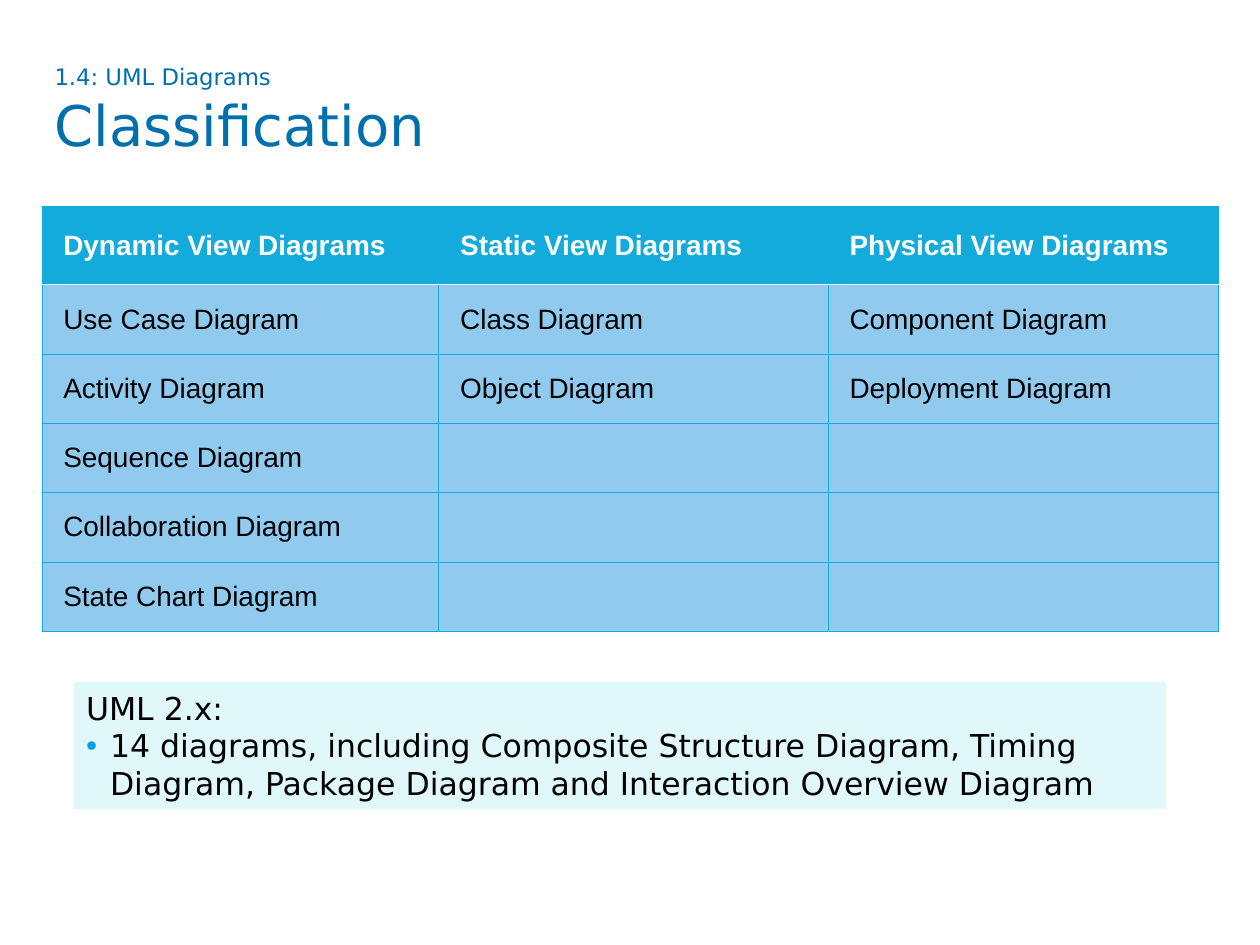
from dataclasses import dataclass

from lxml import etree
from pptx import Presentation
from pptx.dml.color import RGBColor
from pptx.enum.shapes import MSO_SHAPE
from pptx.enum.text import MSO_ANCHOR, MSO_AUTO_SIZE, PP_ALIGN
from pptx.oxml.ns import qn
from pptx.util import Inches, Pt

RECT = MSO_SHAPE.RECTANGLE
TOP, MIDDLE = MSO_ANCHOR.TOP, MSO_ANCHOR.MIDDLE
FIXED, LEFT = MSO_AUTO_SIZE.NONE, PP_ALIGN.LEFT
WIDE, HIGH = Inches(10), Inches(7.5)


@dataclass(frozen=True)
class Theme:
    """Colours, fonts and type sizes of the slide."""
    title: str = "0070AD"
    head: str = "12ABDB"
    body: str = "90CBEF"
    note: str = "E1F8FB"
    dot: str = "00A1E4"
    ink: str = "000000"
    white: str = "FFFFFF"
    sans: str = "DejaVu Sans"
    grid: str = "Arial"
    small: float = 13
    large: float = 32
    cell: float = 16
    text: float = 18


THEME = Theme()
GROUPS = {
    "Dynamic View Diagrams": [
        "Use Case Diagram", "Activity Diagram", "Sequence Diagram",
        "Collaboration Diagram", "State Chart Diagram"],
    "Static View Diagrams": ["Class Diagram", "Object Diagram"],
    "Physical View Diagrams": ["Component Diagram", "Deployment Diagram"],
}
COLS = (3.15, 3.09, 3.1)
HEAD_ROW, BODY_ROW = 0.62, 0.55


def area(left, top, wide, high):
    """Turn percentages of the slide into lengths."""
    pairs = ((left, WIDE), (top, HIGH), (wide, WIDE), (high, HIGH))
    return [int(part * full / 100) for part, full in pairs]


def apply(item, form):
    """Set every attribute named in a dict."""
    for name, value in form.items():
        setattr(item, name, value)


def write(para, text, size, color, font, bold=False):
    """Add one formatted run to a paragraph."""
    run = para.add_run()
    run.text = text
    apply(run.font, {"size": Pt(size), "name": font, "bold": bold})
    run.font.color.rgb = RGBColor.from_string(color)


def paint(fill, color):
    """Fill with one solid colour."""
    fill.solid()
    fill.fore_color.rgb = RGBColor.from_string(color)


def edge(cell, side, color, width):
    """Draw one border of a table cell."""
    line = etree.SubElement(cell._tc.get_or_add_tcPr(), qn(f"a:ln{side}"),
                            w=str(Pt(width)))
    solid = etree.SubElement(line, qn("a:solidFill"))
    etree.SubElement(solid, qn("a:srgbClr"), val=color)


def add_title(slide, lead, name):
    """Place the title with its small lead line."""
    title = slide.shapes.title
    apply(title, dict(zip(("left", "top", "width", "height"),
                          area(3.33, 6, 93.33, 12.53))))
    frame = title.text_frame
    apply(frame, {"vertical_anchor": TOP, "auto_size": FIXED,
                  "word_wrap": True})
    para = frame.paragraphs[0]
    para.alignment = LEFT
    write(para, lead, THEME.small, THEME.title, THEME.sans)
    para.add_line_break()
    etree.SubElement(para._p[-1], qn("a:rPr"), sz=str(int(THEME.small * 100)))
    write(para, name, THEME.large, THEME.title, THEME.sans)


def fill_cell(cell, text, head):
    """Format one cell as a heading or as body."""
    low = (THEME.white, 1) if head else (THEME.head, 0.5)
    for side in "LRT":
        edge(cell, side, THEME.head, 0.5)
    edge(cell, "B", *low)
    paint(cell.fill, THEME.head if head else THEME.body)
    if text:
        apply(cell, {"vertical_anchor": MIDDLE,
                     "margin_left": Inches(0.17), "margin_right": Inches(0.17),
                     "margin_top": Inches(0.15), "margin_bottom": Inches(0.15)})
        write(cell.text_frame.paragraphs[0], text, THEME.cell,
              THEME.white if head else THEME.ink, THEME.grid, head)


def add_grid(slide, groups):
    """Build the table with one column per group."""
    count = 1 + max(map(len, groups.values()))
    high = (HEAD_ROW + BODY_ROW * (count - 1)) / 7.5 * 100
    table = slide.shapes.add_table(count, len(groups),
                                   *area(3.33, 21.87, 93.33, high)).table
    table.horz_banding = False
    for row in range(count):
        table.rows[row].height = Inches(BODY_ROW if row else HEAD_ROW)
    for col, (name, items) in enumerate(groups.items()):
        table.columns[col].width = Inches(COLS[col])
        texts = [name, *items]
        for row in range(count):
            text = texts[row] if row < len(texts) else ""
            fill_cell(table.cell(row, col), text, row == 0)


def add_dot(para):
    """Give a paragraph a coloured bullet and hanging indent."""
    props = para._p.get_or_add_pPr()
    apply_in = str(Inches(0.19))
    props.set("marL", apply_in)
    props.set("indent", "-" + apply_in)
    color = etree.SubElement(props, qn("a:buClr"))
    etree.SubElement(color, qn("a:srgbClr"), val=THEME.dot)
    etree.SubElement(props, qn("a:buFont"), typeface=THEME.grid)
    etree.SubElement(props, qn("a:buChar"), char="•")


def add_note(slide, lead, point):
    """Place the tinted note with a lead line and one bullet."""
    box = slide.shapes.add_shape(RECT, *area(5.85, 72.13, 86.7, 13.47))
    box.shadow.inherit = False
    paint(box.fill, THEME.note)
    box.line.fill.background()
    frame = box.text_frame
    apply(frame, {"word_wrap": True, "vertical_anchor": MIDDLE})
    first, second = frame.paragraphs[0], frame.add_paragraph()
    for para, text in ((first, lead), (second, point)):
        para.alignment = LEFT
        write(para, text, THEME.text, THEME.ink, THEME.sans)
    add_dot(second)


def main():
    """Build and save the slide."""
    deck = Presentation()
    apply(deck, {"slide_width": WIDE, "slide_height": HIGH})
    slide = deck.slides.add_slide(deck.slide_layouts.get_by_name("Title Only"))
    add_title(slide, "1.4: UML Diagrams", "Classification")
    add_grid(slide, GROUPS)
    add_note(slide, "UML 2.x:",
             "14 diagrams, including Composite Structure Diagram, Timing "
             "Diagram, Package Diagram and Interaction Overview Diagram")
    deck.save("out.pptx")


if __name__ == "__main__":
    main()
